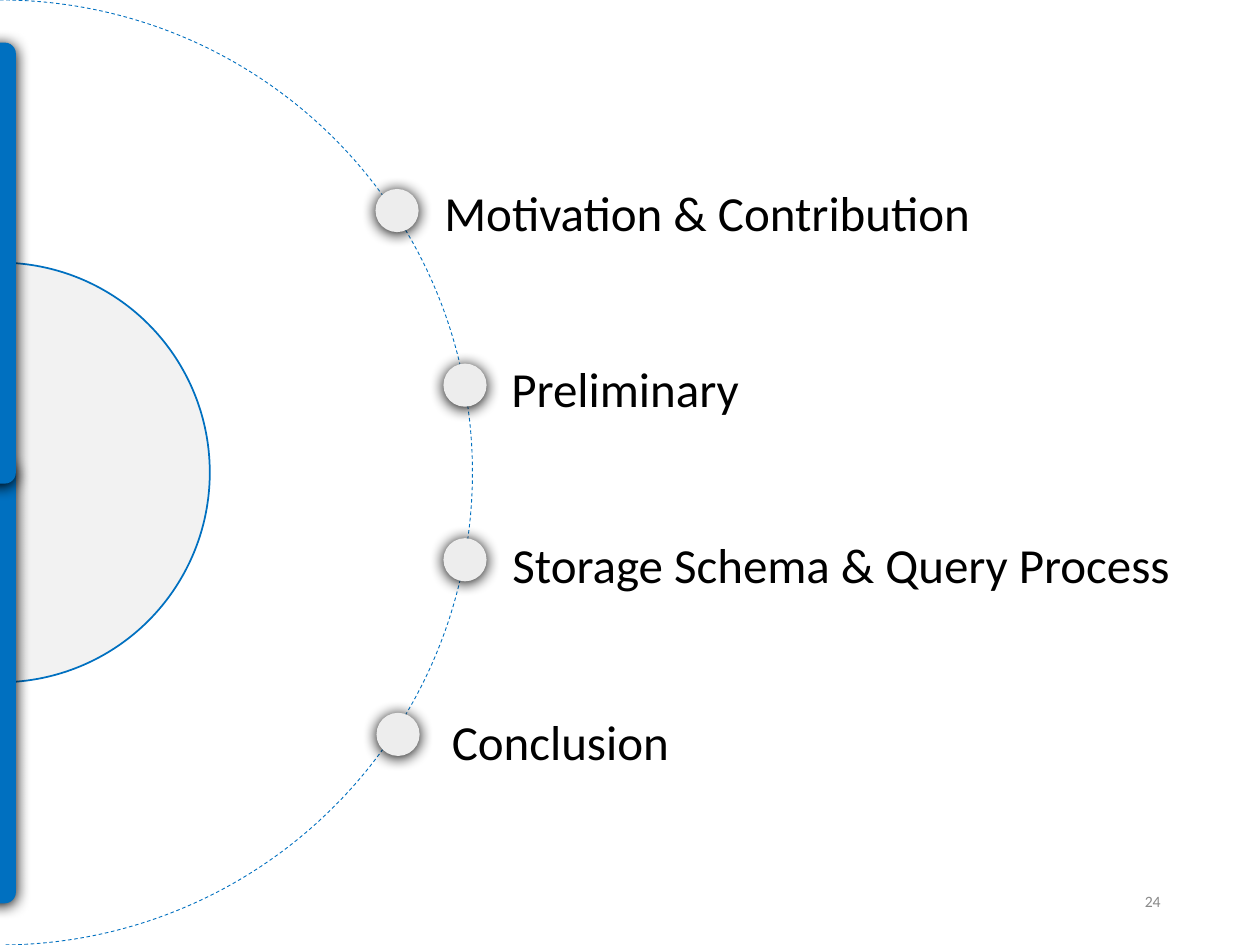
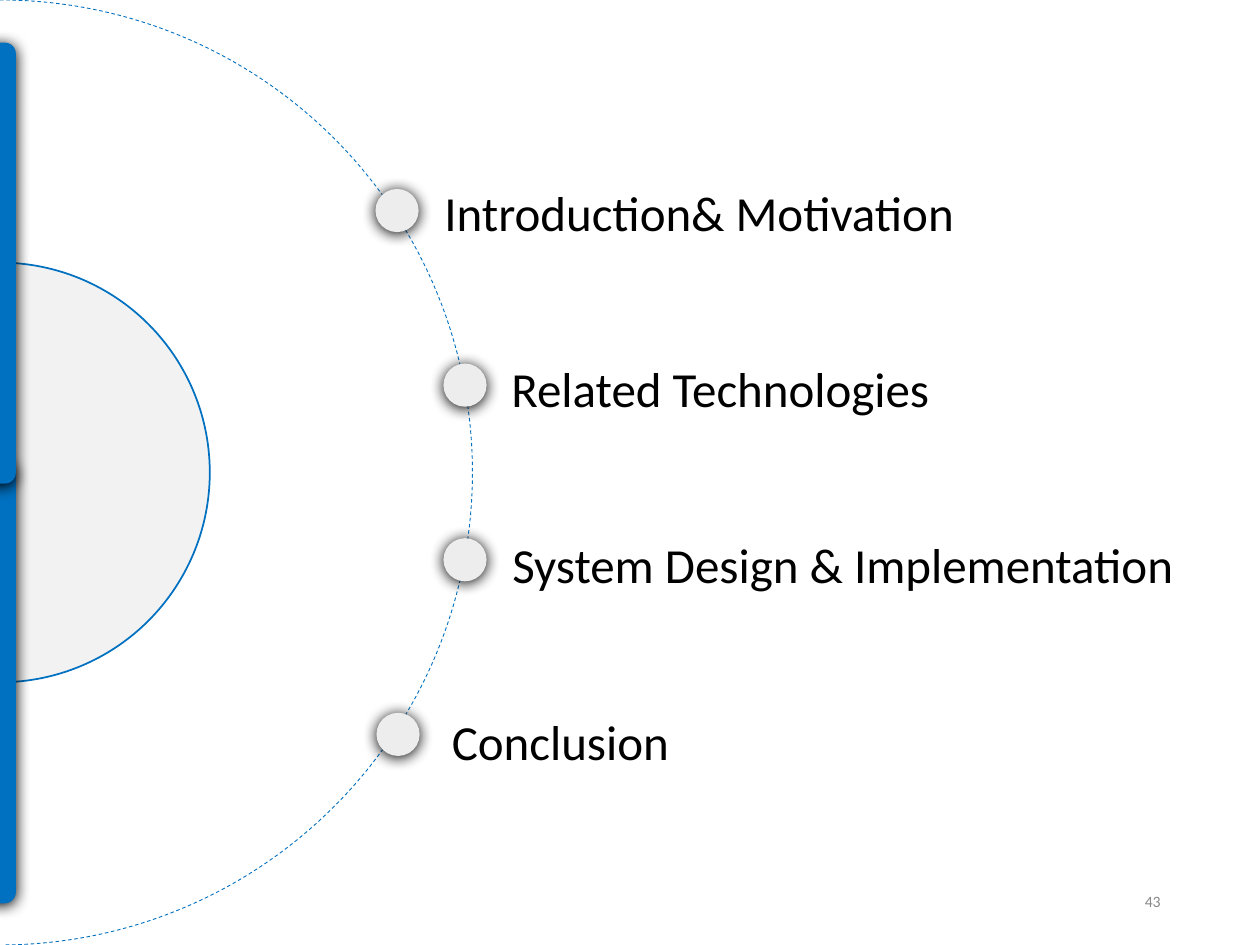
import pptx
import pptx.util
import pptx.dml.color
import pptx.enum.dml
import pptx.enum.shapes
import pptx.enum.text
import pptx.oxml
import pptx.oxml.ns

Cm = pptx.util.Cm
Pt = pptx.util.Pt
SHAPE = pptx.enum.shapes.MSO_SHAPE
ALIGN = pptx.enum.text.PP_ALIGN
ANCHOR = pptx.enum.text.MSO_ANCHOR
FIT = pptx.enum.text.MSO_AUTO_SIZE

AGENDAS = [
    ("24", ["Motivation & Contribution", "Preliminary",
            "Storage Schema & Query Process", "Conclusion"]),
    ("43", ["Introduction& Motivation", "Related Technologies",
            "System Design & Implementation", "Conclusion"]),
]

BLUE = "0070C0"
FONT = "Calibri"
SLIDE_WIDTH, SLIDE_HEIGHT = 25.4, 19.05  # all lengths in centimetres

# Left edge of the dot, left edge of the label, width of the label
ROWS = [
    (7.57, 8.71, 14.99),
    (8.94, 10.06, 10.67),
    (8.94, 10.08, 14.43),
    (7.59, 8.86, 14.83),
]
DOT_SIZE, DOT_TOP, DOT_STEP = 0.87, 3.81, 3.52
LABEL_HEIGHT, LABEL_TOP, LABEL_STEP = 1.45, 3.56, 3.55
BAR_WIDTH, BAR_HEIGHT = 0.64, 8.89
BAR_TOPS = [9.32, 0.86]

SHADOW = (
    f'<a:outerShdw {pptx.oxml.ns.nsdecls("a")} blurRad="{Pt(8.5)}" dist="{Pt(1)}" '
    'dir="5400000" algn="ctr" rotWithShape="0"><a:srgbClr val="000000"/></a:outerShdw>'
)


def color(value):
    return pptx.dml.color.RGBColor.from_string(value)


def add_shape(slide, kind, left, top, width, height, fill, line=None,
              line_width=1, dash=None, shadow=False, adjustments=()):
    shape = slide.shapes.add_shape(kind, Cm(left), Cm(top), Cm(width), Cm(height))
    for index, value in enumerate(adjustments):
        shape.adjustments[index] = value
    shape.fill.solid()
    shape.fill.fore_color.rgb = color(fill)
    if line:
        shape.line.color.rgb = color(line)
        shape.line.width = Pt(line_width)
        if dash:
            shape.line.dash_style = dash
    else:
        shape.line.fill.background()
    shape.shadow.inherit = False
    if shadow:
        effects = shape.element.spPr.find(pptx.oxml.ns.qn("a:effectLst"))
        effects.append(pptx.oxml.parse_xml(SHADOW))
    return shape


def add_text(slide, text, left, top, width, height, size=28, text_color="000000",
             align=ALIGN.LEFT, anchor=ANCHOR.TOP, fit=FIT.NONE):
    box = slide.shapes.add_textbox(Cm(left), Cm(top), Cm(width), Cm(height))
    frame = box.text_frame
    frame.word_wrap = True
    frame.auto_size = fit
    frame.vertical_anchor = anchor
    paragraph = frame.paragraphs[0]
    paragraph.text = text
    paragraph.alignment = align
    paragraph.font.name = FONT
    paragraph.font.size = Pt(size)
    paragraph.font.color.rgb = color(text_color)


def add_half_circle(slide, radius, end_angle, **style):
    """Draw the right half of a circle centred on the slide's left edge."""
    add_shape(slide, SHAPE.ARC, -radius, SLIDE_HEIGHT / 2 - radius, 2 * radius, 2 * radius,
              line=BLUE, adjustments=(162, end_angle), **style)


def add_agenda(presentation, page, topics):
    slide = presentation.slides.add_slide(presentation.slide_layouts[6])
    add_half_circle(slide, SLIDE_HEIGHT / 2, 53.71, fill="FFFFFF", line_width=0.5,
                    dash=pptx.enum.dml.MSO_LINE.DASH)
    for index, (topic, (dot_left, label_left, label_width)) in enumerate(zip(topics, ROWS)):
        add_text(slide, topic, label_left, LABEL_TOP + index * LABEL_STEP,
                 label_width, LABEL_HEIGHT, fit=FIT.SHAPE_TO_FIT_TEXT)
        add_shape(slide, SHAPE.OVAL, dot_left, DOT_TOP + index * DOT_STEP,
                  DOT_SIZE, DOT_SIZE, fill="EDEDED", shadow=True)
    add_half_circle(slide, 4.23, 53.6, fill="F2F2F2")
    for top in BAR_TOPS:
        add_shape(slide, SHAPE.ROUNDED_RECTANGLE, -BAR_WIDTH / 2, top, BAR_WIDTH, BAR_HEIGHT,
                  fill=BLUE, shadow=True, adjustments=(0.35,))
    add_text(slide, page, 17.93, 17.65, 5.72, 1.02, size=9, text_color="898989",
             align=ALIGN.RIGHT, anchor=ANCHOR.MIDDLE)


def main():
    presentation = pptx.Presentation()
    presentation.slide_width = Cm(SLIDE_WIDTH)
    presentation.slide_height = Cm(SLIDE_HEIGHT)
    for page, topics in AGENDAS:
        add_agenda(presentation, page, topics)
    presentation.save("out.pptx")


if __name__ == "__main__":
    main()
